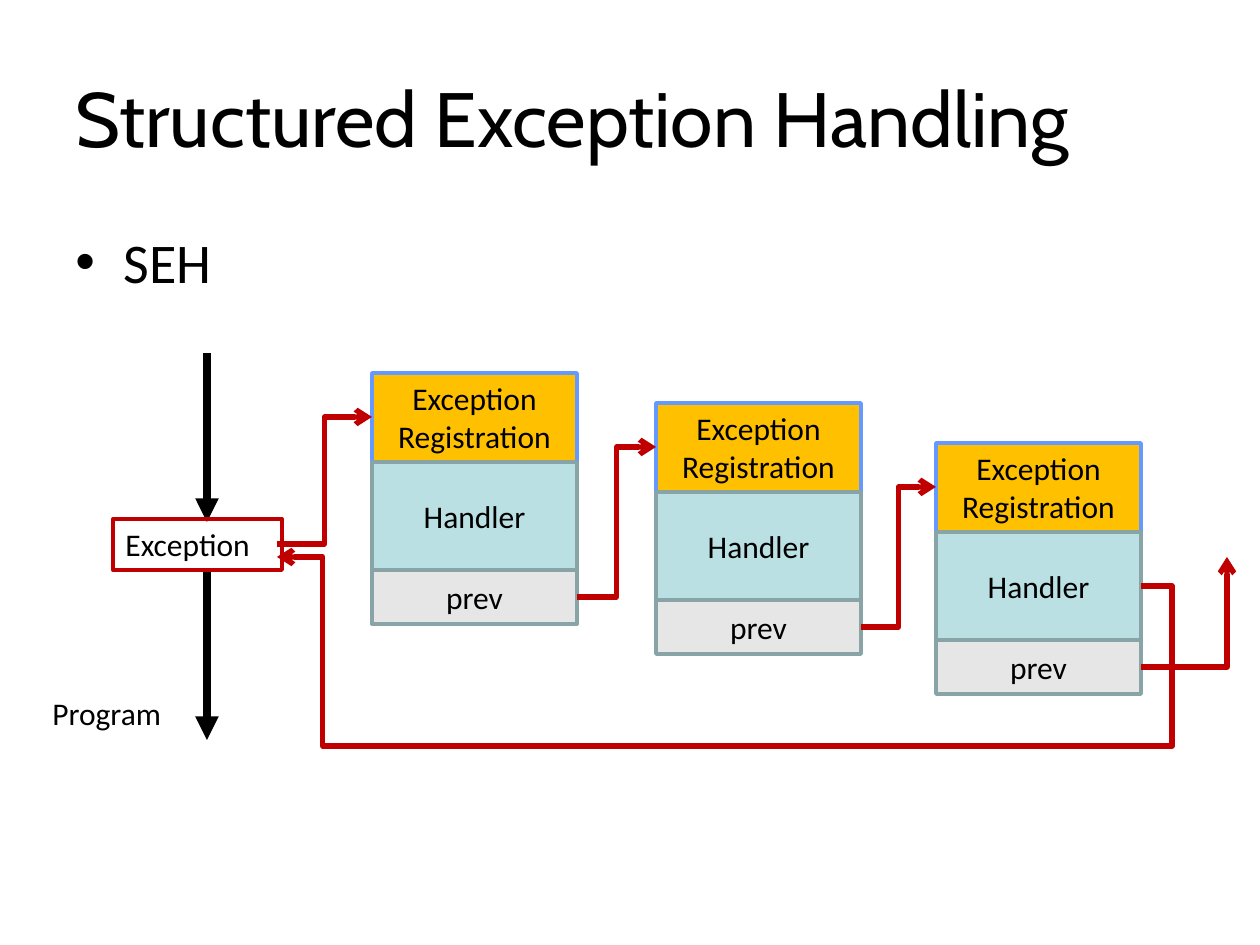
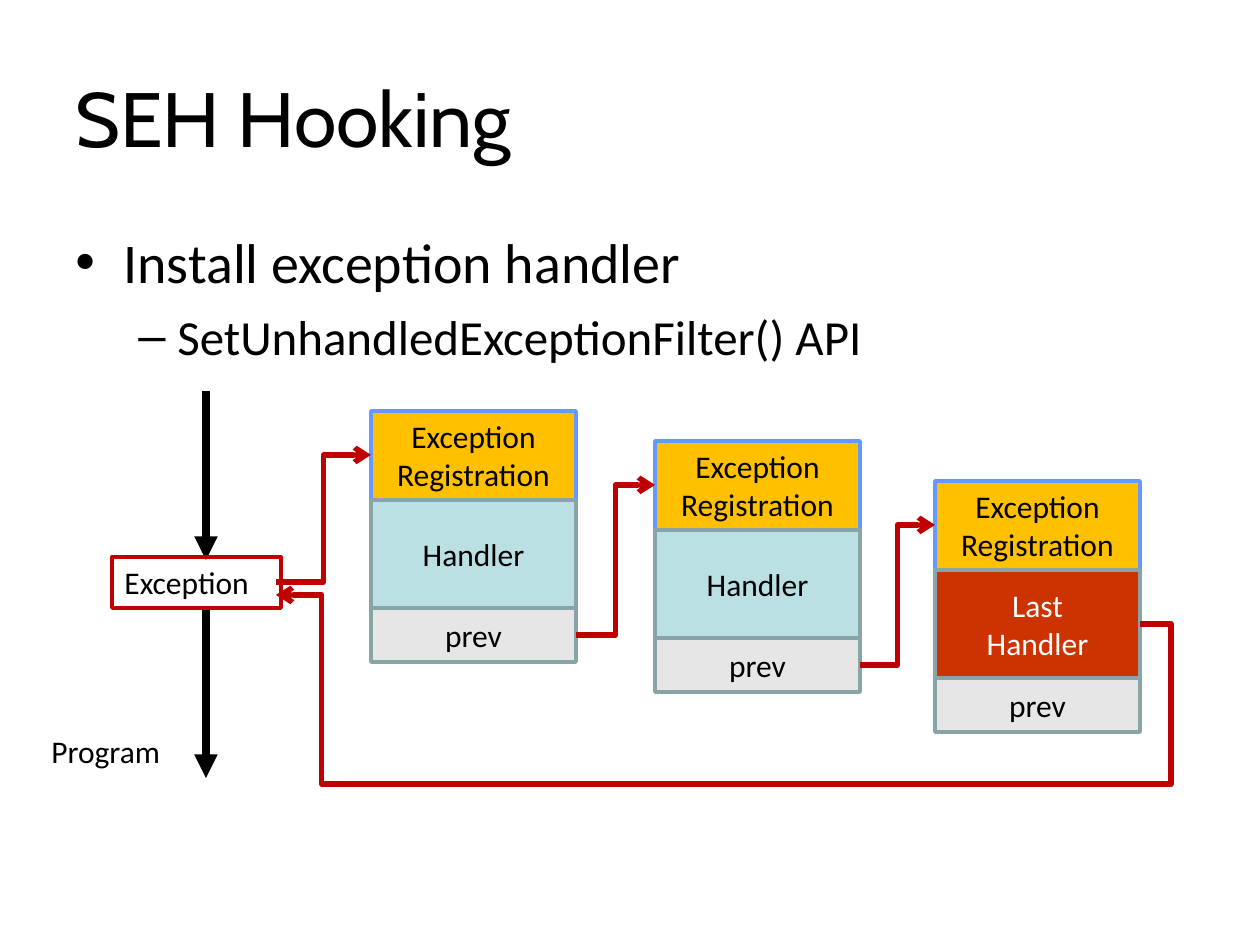
from dataclasses import dataclass

from lxml.etree import SubElement
from pptx import Presentation
from pptx.dml.color import RGBColor
from pptx.enum.shapes import MSO_CONNECTOR, MSO_SHAPE
from pptx.enum.text import MSO_ANCHOR, PP_ALIGN
from pptx.oxml.ns import qn
from pptx.util import Pt

EMU_PER_PX = 914400 / 126
PAGE_SIZE = (1260, 945)

BLACK, WHITE, RED = "000000", "FFFFFF", "C00000"
AMBER, AQUA, SILVER, ALERT = "FFC000", "BBE0E3", "E6E6E6", "CC3300"
BLUE_EDGE, GREY_EDGE = "6699FF", "89A4A7"
TITLE_FONT, BODY_FONT = "Cabin", "Calibri"

# Rows of a registration record, measured from its top
RECORD_WIDTH = 205
HEADER_HEIGHT, HANDLER_HEIGHT, PREV_HEIGHT = 89, 108, 54
HEADER_MIDDLE = HEADER_HEIGHT // 2
HANDLER_MIDDLE = HEADER_HEIGHT + HANDLER_HEIGHT // 2
PREV_MIDDLE = HEADER_HEIGHT + HANDLER_HEIGHT + PREV_HEIGHT // 2


@dataclass(frozen=True)
class BulletStyle:
    mark: str
    margin: int
    hang: int
    size: int
    before: int


@dataclass(frozen=True)
class Record:
    left: int
    top: int

    @property
    def right(self) -> int:
        return self.left + RECORD_WIDTH


@dataclass(frozen=True)
class Topic:
    title: str
    bullets: tuple[str, ...]
    shift: tuple[int, int]
    last_handler: str
    last_fill: str
    last_color: str
    chain_goes_on: bool


BULLETS = (BulletStyle("•", 48, 48, 32, 0), BulletStyle("–", 102, 39, 28, 7))
RECORDS = (Record(372, 373), Record(656, 403), Record(936, 443))
TOPICS = (
    Topic("Structured Exception Handling", ("SEH",), (0, 0),
          "Handler", AQUA, BLACK, True),
    Topic("SEH Hooking",
          ("Install exception handler", "SetUnhandledExceptionFilter() API"),
          (-1, 38), "Last\nHandler", ALERT, WHITE, False),
)


def px(length: float) -> int:
    return round(length * EMU_PER_PX)


def rgb(code: str) -> RGBColor:
    return RGBColor.from_string(code)


def write(box, text: str, *, size: int = 18, font: str = BODY_FONT, color: str = BLACK,
          align=PP_ALIGN.LEFT, anchor=MSO_ANCHOR.TOP, bullets=()) -> None:
    """Fill a box with one paragraph per line; bullets give a style per line."""
    frame = box.text_frame
    frame.word_wrap = True
    frame.vertical_anchor = anchor
    for index, line in enumerate(text.split("\n")):
        para = frame.paragraphs[0] if index == 0 else frame.add_paragraph()
        para.alignment = align
        if bullets:
            style = bullets[index]
            properties = para._p.get_or_add_pPr()
            properties.set("marL", str(px(style.margin)))
            properties.set("indent", str(-px(style.hang)))
            SubElement(properties, qn("a:buFont")).set("typeface", "Arial")
            SubElement(properties, qn("a:buChar")).set("char", style.mark)
            if style.before:
                para.space_before = Pt(style.before)
        span = para.add_run()
        span.text = line
        span.font.name = font
        span.font.size = Pt(bullets[index].size if bullets else size)
        span.font.color.rgb = rgb(color)


def text_box(page, left: int, top: int, width: int, height: int, text: str, **style) -> None:
    box = page.shapes.add_textbox(px(left), px(top), px(width), px(height))
    write(box, text, **style)


def panel(page, left: int, top: int, width: int, height: int, text: str, *,
          edge: str, fill: str = "", weight: float = 2, **style) -> None:
    box = page.shapes.add_shape(MSO_SHAPE.RECTANGLE, px(left), px(top), px(width), px(height))
    box.shadow.inherit = False
    if fill:
        box.fill.solid()
        box.fill.fore_color.rgb = rgb(fill)
    else:
        box.fill.background()
    box.line.color.rgb = rgb(edge)
    box.line.width = Pt(weight)
    write(box, text, **style)


def arrow(page, start: tuple[int, int], end: tuple[int, int], *, kind=MSO_CONNECTOR.ELBOW,
          color: str = RED, weight: float = 3, head: str = "arrow",
          preset: str = "", bends: tuple[float, ...] = ()) -> None:
    """Draw an arrow; bends are fractions of the way from start to end."""
    link = page.shapes.add_connector(kind, *map(px, start + end))
    link.line.color.rgb = rgb(color)
    link.line.width = Pt(weight)
    properties = link._element.spPr
    SubElement(properties.get_or_add_ln(), qn("a:tailEnd")).set("type", head)
    SubElement(properties, qn("a:effectLst"))
    if preset:
        geometry = properties.find(qn("a:prstGeom"))
        geometry.set("prst", preset)
        guides = geometry.find(qn("a:avLst"))
        if guides is None:
            guides = SubElement(geometry, qn("a:avLst"))
        for number, bend in enumerate(bends, 1):
            guide = SubElement(guides, qn("a:gd"))
            guide.set("name", f"adj{number}")
            guide.set("fmla", f"val {round(bend * 100000)}")


def draw_record(page, record: Record, handler: str, fill: str, color: str) -> None:
    rows = (
        ("Exception\nRegistration", HEADER_HEIGHT, AMBER, BLUE_EDGE, BLACK, MSO_ANCHOR.TOP),
        (handler, HANDLER_HEIGHT, fill, GREY_EDGE, color, MSO_ANCHOR.MIDDLE),
        ("prev", PREV_HEIGHT, SILVER, GREY_EDGE, BLACK, MSO_ANCHOR.MIDDLE),
    )
    top = record.top
    for text, height, row_fill, edge, text_color, anchor in rows:
        panel(page, record.left, top, RECORD_WIDTH, height, text, fill=row_fill, edge=edge,
              color=text_color, align=PP_ALIGN.CENTER, anchor=anchor)
        top += height


def draw_return(page, start: tuple[int, int], end: tuple[int, int],
                right: int, bottom: int, left: int) -> None:
    """Lead the last handler round below the records, back to the exception."""
    across, down = end[0] - start[0], end[1] - start[1]
    bends = ((right - start[0]) / across, (bottom - start[1]) / down, (left - start[0]) / across)
    arrow(page, start, end, preset="bentConnector5", bends=bends)


def draw_chain(page, topic: Topic) -> None:
    dx, dy = topic.shift
    records = [Record(record.left + dx, record.top + dy) for record in RECORDS]
    last = records[-1]

    # Program flow
    for top in (353, 571):
        arrow(page, (207 + dx, top + dy), (207 + dx, top + 169 + dy),
              kind=MSO_CONNECTOR.STRAIGHT, color=BLACK, weight=4.5, head="triangle")
    text_box(page, 40 + dx, 688 + dy, 155, 50, "Program")
    panel(page, 113 + dx, 519 + dy, 169, 51, "Exception", edge=RED, weight=2.25)

    # Registration records
    for record in records[:-1]:
        draw_record(page, record, "Handler", AQUA, BLACK)
    draw_record(page, last, topic.last_handler, topic.last_fill, topic.last_color)

    # Links from the exception and from each prev to the next record
    starts = [(277 + dx, 544 + dy)]
    starts += [(record.right, record.top + PREV_MIDDLE) for record in records[:-1]]
    for start, record in zip(starts, records):
        arrow(page, start, (record.left, record.top + HEADER_MIDDLE))
    draw_return(page, (last.right, last.top + HANDLER_MIDDLE), (277 + dx, 557 + dy),
                right=1172 + dx, bottom=746 + dy, left=323 + dx)
    if topic.chain_goes_on:
        arrow(page, (last.right, last.top + PREV_MIDDLE), (1227 + dx, 557 + dy),
              preset="bentConnector2")


def build_page(deck, topic: Topic) -> None:
    page = deck.slides.add_slide(deck.slide_layouts[6])
    text_box(page, 63, 38, 1134, 157, topic.title, size=44, font=TITLE_FONT,
             anchor=MSO_ANCHOR.MIDDLE)
    text_box(page, 63, 221, 1134, 103 * len(topic.bullets), "\n".join(topic.bullets),
             bullets=BULLETS)
    draw_chain(page, topic)


def main() -> None:
    deck = Presentation()
    deck.slide_width, deck.slide_height = map(px, PAGE_SIZE)
    for topic in TOPICS:
        build_page(deck, topic)
    deck.save("out.pptx")


if __name__ == "__main__":
    main()
